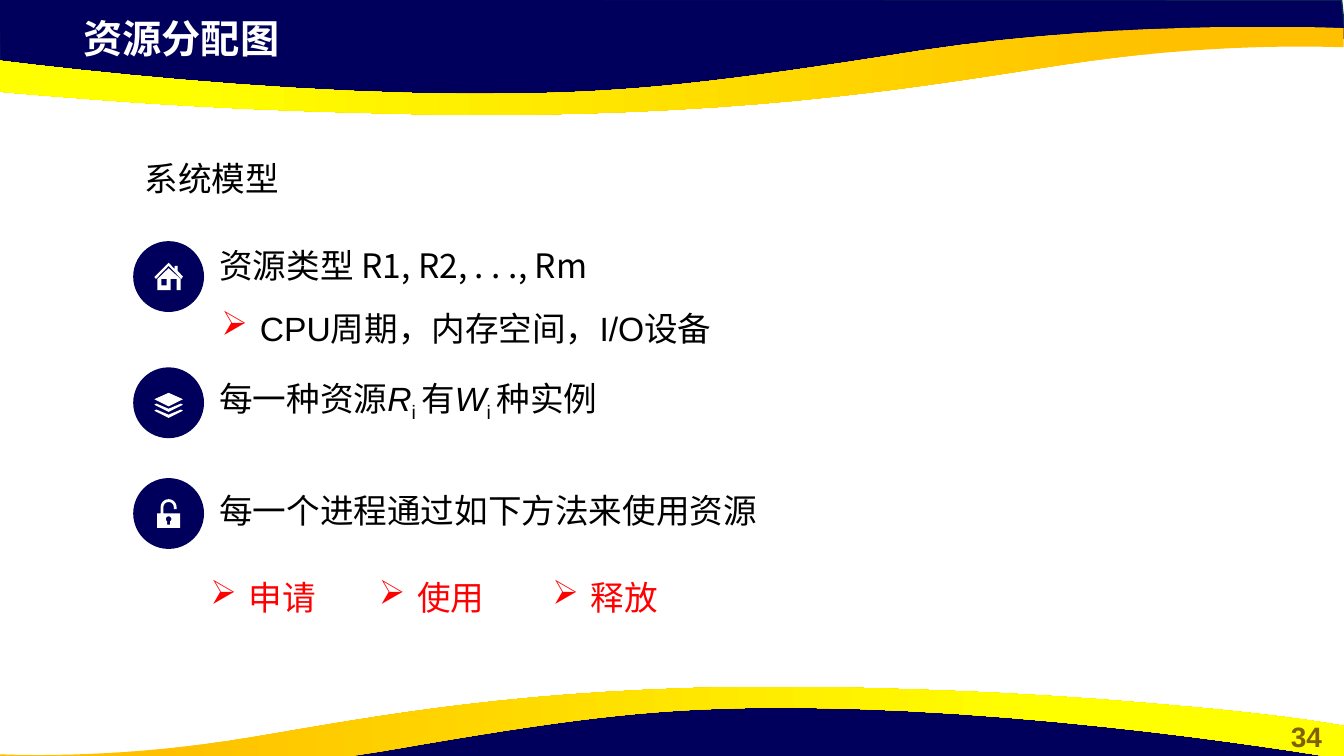
from math import cos, radians, sin

from lxml.etree import SubElement
from pptx import Presentation
from pptx.dml.color import RGBColor
from pptx.enum.shapes import MSO_SHAPE
from pptx.enum.text import MSO_ANCHOR, MSO_AUTO_SIZE, PP_ALIGN
from pptx.oxml.ns import qn
from pptx.util import Cm, Pt

COLORS = {
    "navy": "00005C", "navy_edge": "05304F", "amber": "FFC000", "yellow": "FFFF00",
    "white": "FFFFFF", "black": "000000", "red": "FF0000", "olive": "806000",
}
CJK = "Noto Sans CJK SC"
BODY = {"name": "Arial", "size": Pt(24)}
MODEL = {**BODY, "name": CJK}
HEADING = {**BODY, "size": Pt(28), "bold": True}
NUMBER = {**BODY, "size": Pt(20), "bold": True}
SPACED = {"space_before": Pt(6), "space_after": Pt(6)}
BULLETED = {"line_spacing": 1.2, "space_before": Pt(8)}
MIDDLE = {"vertical_anchor": MSO_ANCHOR.MIDDLE}

NAVY_WAVE = [(-0.03, -0.03), (0, 1.78), (7.44, 2.59), (14.2, 2.54), (20.19, 2.24),
             (25.81, 1.27), (31.45, 0.84), (33.91, 0.97), (33.81, 0)]
GOLD_WAVE = [
    [(12.27, 2.9)],
    [(11.25, 2.9), (10.19, 2.87), (9.04, 2.84)],
    [(5.23, 2.74), (2.79, 2.54), (0.91, 2.39)],
    [(-2.24, 2.13), (-3.3, 1.91), (-3.38, 1.91)],
    [(-3.38, 1.07)],
    [(-3.38, 1.07), (5.54, 2.49), (13.13, 2.36)],
    [(15.9, 2.31), (17.98, 2.11), (23.24, 1.27)],
    [(28.6, 0.46), (33.86, 0.71), (33.86, 0.71)],
    [(33.86, 1.19)],
    [(33.78, 1.19)],
    [(33.15, 1.17), (30.35, 1.09), (26.8, 1.63)],
    [(23.32, 2.16), (19.35, 2.87), (12.27, 2.9)],
]


def rgb(color):
    return RGBColor.from_string(COLORS[color])


def apply(target, values):
    for key, value in values.items():
        setattr(target, key, value)


def flatten(segments, steps=16):
    points = []
    for segment in segments:
        if len(segment) == 1:
            points += segment
            continue
        corners = [points[-1], *segment]
        for step in range(1, steps + 1):
            t = step / steps
            weights = ((1 - t) ** 3, 3 * t * (1 - t) ** 2, 3 * t * t * (1 - t), t ** 3)
            points.append(tuple(sum(w * c[axis] for w, c in zip(weights, corners))
                                for axis in (0, 1)))
    return points


def arc(x, y, radius, start, end, steps=16):
    angles = [radians(start + (end - start) * i / steps) for i in range(steps + 1)]
    return [(x + radius * cos(a), y + radius * sin(a)) for a in angles]


def add_outline(slide, contours):
    scaled = [[(x * 1000, y * 1000) for x, y in contour] for contour in contours]
    builder = slide.shapes.build_freeform(*scaled[0][0], scale=Cm(1) / 1000)
    builder.add_line_segments(scaled[0][1:])
    for contour in scaled[1:]:
        builder.move_to(*contour[0])
        builder.add_line_segments(contour[1:])
    outline = builder.convert_to_shape()
    outline.shadow.inherit = False
    return outline


def paint(shape, fill, edge=None):
    shape.fill.solid()
    shape.fill.fore_color.rgb = rgb(fill)
    if edge:
        shape.line.color.rgb = rgb(edge)
        shape.line.width = Pt(1)
    else:
        shape.line.fill.background()


def add_navy_wave(slide, points):
    paint(add_outline(slide, [points]), "navy", "navy_edge")


def add_gold_wave(slide, points, angle):
    wave = add_outline(slide, [points])
    wave.fill.gradient()
    wave.fill.gradient_angle = angle
    for stop, color, position in zip(wave.fill.gradient_stops, ("amber", "yellow"), (0.11, 0.78)):
        stop.color.rgb = rgb(color)
        stop.position = position
    wave.line.fill.background()


def add_badge(slide, y, icon):
    x, size = 4.25, 1.75
    disc = slide.shapes.add_shape(MSO_SHAPE.OVAL, Cm(x - size / 2), Cm(y - size / 2),
                                  Cm(size), Cm(size))
    disc.shadow.inherit = False
    paint(disc, "navy", "navy")
    contours = [[(x + dx / 10, y + dy / 10) for dx, dy in contour] for contour in icon]
    paint(add_outline(slide, contours), "white")


def house():
    roof = [(-3.6, 0.1), (0, -3.5), (1.5, -1.9), (1.5, -2.7), (2.3, -2.7), (2.3, -1.4),
            (3.6, 0), (3.2, 0.6), (0, -2.7), (-3.2, 0.6)]
    walls = [(-2.8, 0.6), (0, -2.1), (3, 0.6), (3, 3.4), (2, 3.4), (2, 0.6),
             (0.5, 0.6), (0.5, 3.4), (-2.8, 3.4)]
    window = [(-0.5, 0.6), (-1.8, 0.6), (-1.8, 2.2), (-0.5, 2.2)]
    return [roof, walls, window]


def layers():
    sheet = [(-3.6, -0.9), (0, -2.5), (3.6, -0.9), (0, 0.9)]
    edge = [(-3.6, 0.5), (-3.1, 0.2), (0, 1.5), (3.1, 0.2), (3.6, 0.5), (0, 2.3)]
    return [sheet, edge, [(x, y + 1.5) for x, y in edge]]


def padlock():
    shackle = [(-2, 0), *arc(0, -1.6, 2, 180, 360), (2, -1.1), (1.3, -1.1),
               *arc(0, -1.6, 1.3, 360, 180), (-1.3, 0)]
    body = [(-2.9, 0), (2.9, 0), (2.9, 3.6), (-2.9, 3.6)]
    keyhole = [(0.4, 2.8), *arc(0, 1.4, 0.7, 60, -240), (-0.4, 2.8)]
    return [shackle, body, keyhole]


def write(shape, runs, font, color, paragraph=None, frame=None, bullet=False):
    apply(shape.text_frame, {"word_wrap": True, "auto_size": MSO_AUTO_SIZE.NONE, **(frame or {})})
    line = shape.text_frame.paragraphs[0]
    apply(line, paragraph or {})
    for text, extra in runs:
        run = line.add_run()
        run.text = text
        apply(run.font, {**font, **extra.get("font", {})})
        run.font.color.rgb = rgb(color)
        props = run.font._element
        SubElement(props, qn("a:ea")).set("typeface", CJK)
        if "baseline" in extra:
            props.set("baseline", extra["baseline"])
    if bullet:
        props = line._p.get_or_add_pPr()
        props.set("marL", str(Cm(0.97)))
        props.set("indent", str(-Cm(0.97)))
        tint = SubElement(props, qn("a:buClr"))
        SubElement(tint, qn("a:srgbClr")).set("val", COLORS["red"])
        SubElement(props, qn("a:buChar")).set("char", "➢")


def add_text(slide, box, runs, font=BODY, color="black", **layout):
    if isinstance(runs, str):
        runs = [(runs, {})]
    write(slide.shapes.add_textbox(*map(Cm, box)), runs, font, color, **layout)


def set_title(slide, text):
    title = slide.shapes.title
    apply(title, dict(zip(("left", "top", "width", "height"), map(Cm, (1.85, 0.23, 19.51, 1.45)))))
    write(title, [(text, {})], HEADING, "white", {"alignment": PP_ALIGN.LEFT},
          {"vertical_anchor": MSO_ANCHOR.TOP})
    title.element.getparent().append(title.element)


def main():
    deck = Presentation()
    deck.slide_width, deck.slide_height = Cm(33.87), Cm(19.05)
    slide = deck.slides.add_slide(deck.slide_layouts[5])

    gold = flatten(GOLD_WAVE)
    add_navy_wave(slide, NAVY_WAVE)
    add_gold_wave(slide, gold, 180)
    add_navy_wave(slide, [(33.83 - x, 20.14 - y) for x, y in NAVY_WAVE])
    add_gold_wave(slide, [(33.86 - 0.91 * (x + 3.38), 20.2 - y) for x, y in gold], 0)

    add_text(slide, (32, 18.01, 1.85, 1.12), "34", NUMBER, "olive",
             paragraph={"alignment": PP_ALIGN.CENTER})
    set_title(slide, "资源分配图")
    add_text(slide, (3.4, 3.84, 12.14, 1.27), "系统模型", MODEL, frame=MIDDLE)

    variable = {"font": {"italic": True}}
    index = {"baseline": "-25000"}
    add_text(slide, (5.28, 9.55, 10.26, 1.09),
             [("每一种资源", {}), ("R", variable), ("i ", index), ("有", {}),
              ("W", variable), ("i ", index), ("种实例", {})], frame=MIDDLE)
    add_text(slide, (5.28, 12.29, 16.79, 1.14), "每一个进程通过如下方法来使用资源", frame=MIDDLE)
    add_text(slide, (5.33, 7.42, 19.51, 1.45), "CPU周期，内存空间，I/O设备",
             paragraph=BULLETED, bullet=True)
    add_text(slide, (5.28, 6.12, 12.93, 1.12), "资源类型 R1, R2, . . ., Rm", MODEL,
             paragraph=SPACED, frame=MIDDLE)

    for y, icon in ((6.97, house()), (10.15, layers()), (12.94, padlock())):
        add_badge(slide, y, icon)
    for x, step in ((5.05, "申请"), (9.3, "使用"), (13.67, "释放")):
        add_text(slide, (x, 14.2, 4.24, 1.27), step, color="red",
                 paragraph=BULLETED, bullet=True)

    deck.save("out.pptx")


if __name__ == "__main__":
    main()
